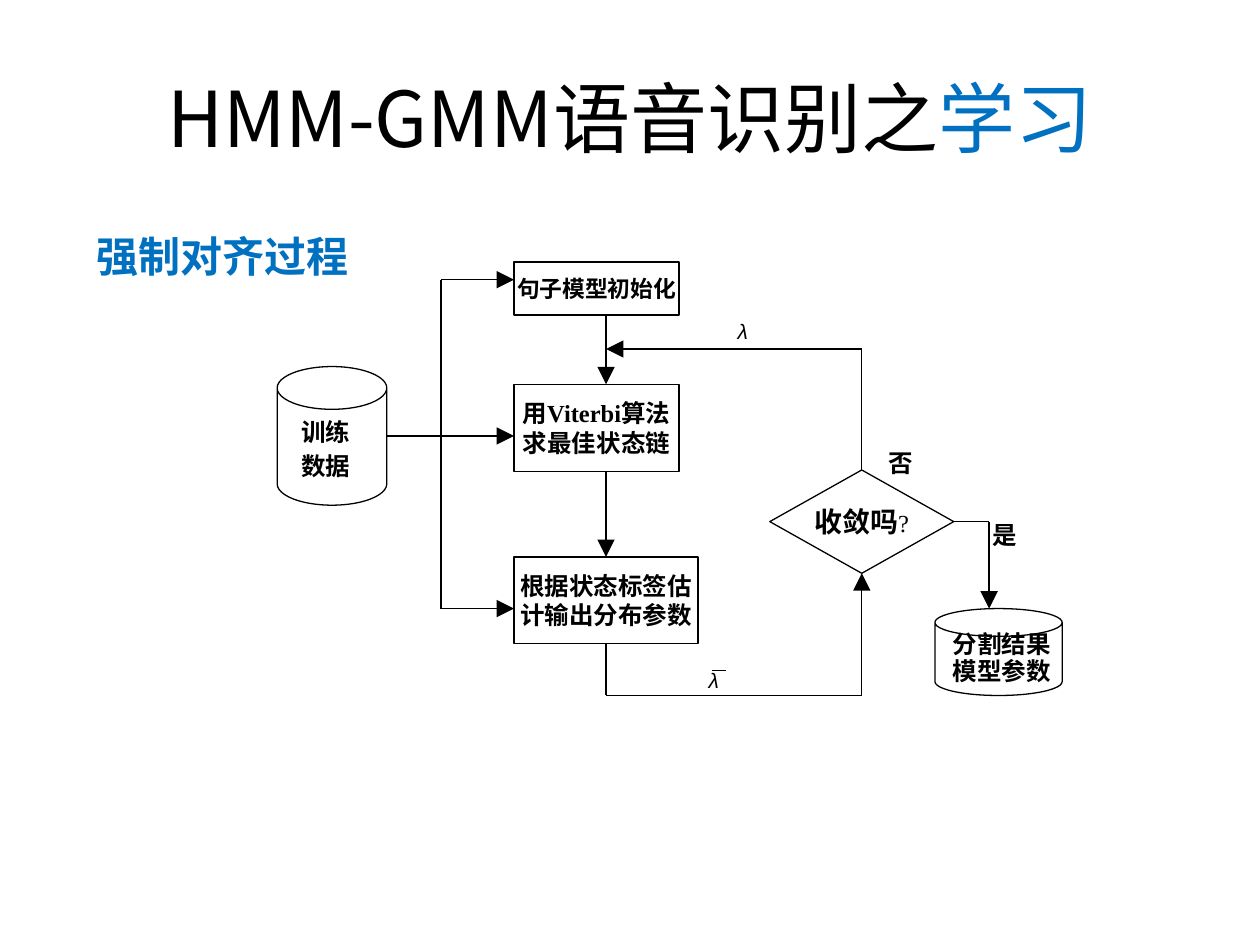
from itertools import pairwise

from lxml.etree import SubElement
from pptx import Presentation
from pptx.dml.color import RGBColor
from pptx.enum.shapes import MSO_CONNECTOR, MSO_SHAPE
from pptx.enum.text import MSO_ANCHOR, PP_ALIGN
from pptx.oxml.ns import qn
from pptx.util import Inches, Pt

COLORS = {"ink": "000000", "accent": "0070C0", "paper": "FFFFFF"}
SANS, SERIF, LATIN = "Noto Sans CJK SC", "Times New Roman", "Arial"
COLUMNS, ROWS = 100, 75
WIDTH, HEIGHT = Inches(10), Inches(7.5)
TOP, LEFT, BOTTOM, RIGHT = range(4)


def col(count):
    return round(WIDTH * count / COLUMNS)


def row(count):
    return round(HEIGHT * count / ROWS)


def area(x, y, width, height):
    return col(x), row(y), col(width), row(height)


def rgb(name):
    return RGBColor.from_string(COLORS[name])


def style(font, size, face=SANS, color="ink", bold=False, italic=False):
    """Set the font for Latin and East Asian letters alike."""
    font.size, font.bold, font.italic = Pt(size), bold, italic
    font.color.rgb = rgb(color)
    font.name = face
    SubElement(font._element, qn("a:ea")).set("typeface", SANS)


def write(shape, lines, size, spacing=1.0, align=PP_ALIGN.CENTER, **look):
    """Fill a shape with centred paragraphs and return these."""
    frame = shape.text_frame
    frame.word_wrap = False
    frame.vertical_anchor = MSO_ANCHOR.MIDDLE
    frame.margin_left = frame.margin_right = 0
    frame.margin_top = frame.margin_bottom = 0
    frame.text = "\n".join(lines)
    for paragraph in frame.paragraphs:
        paragraph.alignment = align
        paragraph.line_spacing = spacing
        style(paragraph.font, size, **look)
    return frame.paragraphs


def add_run(paragraph, text, size, **look):
    run = paragraph.add_run()
    run.text = text
    style(run.font, size, **look)


def add_label(slide, place, text, size, **look):
    label = slide.shapes.add_textbox(*area(*place))
    return write(label, [text], size, **look)[0]


def add_node(slide, kind, place):
    node = slide.shapes.add_shape(kind, *area(*place))
    node.shadow.inherit = False
    node.fill.solid()
    node.fill.fore_color.rgb = rgb("paper")
    node.line.color.rgb = rgb("ink")
    node.line.width = Pt(0.75)
    return node


def add_store(slide, place, cap, lines, spacing):
    store = add_node(slide, MSO_SHAPE.CAN, place)
    store.adjustments[0] = cap
    write(store, lines, 14, spacing, bold=True)
    return store


def add_line(slide, start, end, width=0.75):
    line = slide.shapes.add_connector(
        MSO_CONNECTOR.STRAIGHT, col(start[0]), row(start[1]), col(end[0]), row(end[1]))
    line.line.color.rgb = rgb("ink")
    line.line.width = Pt(width)
    SubElement(line._element.spPr, qn("a:effectLst"))
    return line


def add_route(slide, *points, source=None, target=None):
    """Draw straight legs through the points, with an arrowhead on the last.

    Source and target are (shape, side) pairs that the ends are joined to.
    """
    legs = [add_line(slide, start, end) for start, end in pairwise(points)]
    if source:
        legs[0].begin_connect(*source)
    if target:
        legs[-1].end_connect(*target)
    outline = legs[-1].line._get_or_add_ln()
    SubElement(outline, qn("a:tailEnd"), type="triangle", w="lg", len="lg")


def add_headings(slide):
    title = add_label(slide, (5, 3, 90, 12.5), "HMM-GMM语音识别之", 44)
    add_run(title, "学习", 44, color="accent")
    add_label(slide, (7.7, 17.8, 84.3, 5), "强制对齐过程", 24, face=SERIF,
              color="accent", bold=True, align=PP_ALIGN.LEFT)


def add_flow(slide):
    initial = add_node(slide, MSO_SHAPE.RECTANGLE, (40.8, 20.8, 13.1, 4.2))
    write(initial, ["句子模型初始化"], 13, bold=True)

    align = add_node(slide, MSO_SHAPE.RECTANGLE, (40.8, 30.5, 13.1, 6.9))
    first = write(align, ["用", "求最佳状态链"], 14, bold=True)[0]
    add_run(first, "Viterbi", 14, face=SERIF, bold=True)
    add_run(first, "算法", 14, bold=True)

    estimate = add_node(slide, MSO_SHAPE.RECTANGLE, (40.8, 44.2, 14.6, 6.9))
    write(estimate, ["根据状态标签估", "计输出分布参数"], 14, bold=True)

    training = add_store(slide, (22, 29.1, 8.7, 11), 0.39, ["训练", "数据"], 1.15)
    training.text_frame.margin_right = col(1)
    result = add_store(slide, (74.2, 48.3, 10.1, 6.9), 0.32,
                       ["分割结果", "模型参数"], 0.9)
    result.text_frame.margin_left = col(0.5)

    converged = add_node(slide, MSO_SHAPE.DIAMOND, (61.1, 37.3, 14.6, 8.2))
    question = write(converged, ["收敛吗"], 16, bold=True)[0]
    add_run(question, "?", 14, face=SERIF)

    trunk, axis, loop, exit_x = 35, 48.1, 68.4, 78.5
    add_route(slide, (30.7, 34.6), (40.8, 34.6))
    add_line(slide, (trunk, 22.2), (trunk, 48.3))
    for y in (22.2, 48.3):
        add_route(slide, (trunk, y), (40.8, y))
    add_route(slide, (axis, 25), (axis, 30.5))
    add_route(slide, (axis, 37.4), (axis, 44.2), target=(estimate, TOP))
    add_route(slide, (axis, 51.1), (axis, 55.2), (loop, 55.2), (loop, 45.5),
              source=(estimate, BOTTOM), target=(converged, BOTTOM))
    add_route(slide, (loop, 37.3), (loop, 27.7), (axis, 27.7),
              source=(converged, TOP))
    add_route(slide, (75.7, 41.4), (exit_x, 41.4), (exit_x, 48.3),
              source=(converged, RIGHT))


def add_flow_labels(slide):
    for place in ((58.2, 25, 1.5, 2.5), (55.9, 52.7, 1.5, 2.5)):
        add_label(slide, place, "λ", 12, face=LATIN, italic=True)
    add_line(slide, (56.5, 53.2), (57.6, 53.2), width=0.5)
    add_label(slide, (70.5, 35.7, 2, 2.1), "否", 14, bold=True)
    add_label(slide, (78.8, 41.4, 1.8, 2.1), "是", 14, bold=True)


def main():
    deck = Presentation()
    deck.slide_width, deck.slide_height = WIDTH, HEIGHT
    slide = deck.slides.add_slide(deck.slide_layouts[6])
    add_headings(slide)
    add_flow(slide)
    add_flow_labels(slide)
    deck.save("out.pptx")


if __name__ == "__main__":
    main()
